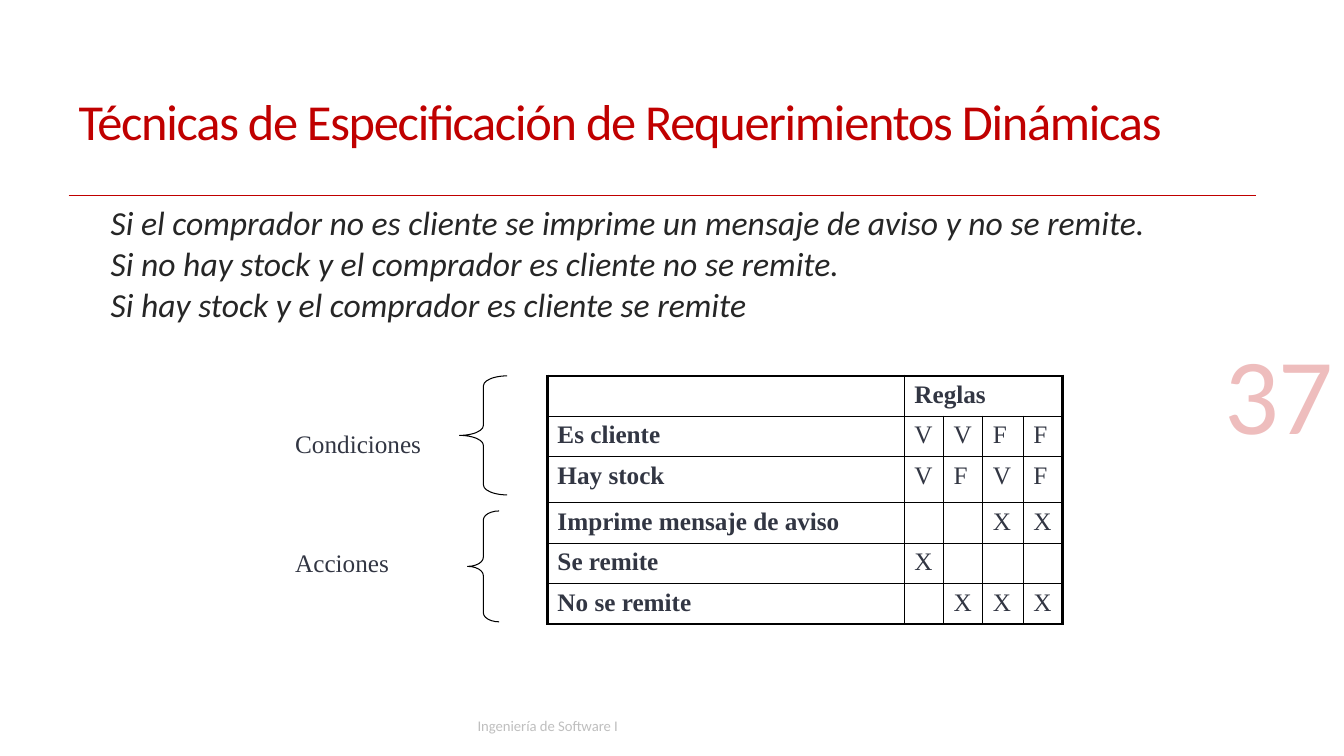
import pptx
import pptx.util
import pptx.dml.color
import pptx.enum.shapes
import pptx.enum.text
import pptx.oxml
import pptx.oxml.ns
from dataclasses import dataclass

Pt = pptx.util.Pt
Align = pptx.enum.text.PP_ALIGN
Anchor = pptx.enum.text.MSO_ANCHOR
RED, SLATE, BLACK = "C00000", "323643", "000000"
SANS, SERIF = "Calibri", "Times New Roman"


@dataclass
class Font:
    name: str
    size: float
    hue: str
    bold: bool = False
    slant: bool = False


@dataclass
class Note:
    box: tuple[float, float, float, float]
    lines: list[str]
    font: Font
    anchor: Anchor = Anchor.TOP
    align: Align = Align.LEFT
    pitch: float = 1.0
    gap: float = 0
    wrap: bool = True


@dataclass
class Brace:
    box: tuple[float, float, float, float]
    curve: float


def color(code: str) -> pptx.dml.color.RGBColor:
    return pptx.dml.color.RGBColor.from_string(code)


def add_run(par, text: str, font: Font):
    run = par.add_run()
    run.text = text
    run.font.name = font.name
    run.font.size = Pt(font.size)
    run.font.bold = font.bold
    run.font.italic = font.slant
    run.font.color.rgb = color(font.hue)
    return run


def add_note(slide, note: Note):
    """Draw a text box and return its last run."""
    frame = slide.shapes.add_textbox(*map(Pt, note.box)).text_frame
    frame.word_wrap = note.wrap
    frame.vertical_anchor = note.anchor
    for i, line in enumerate(note.lines):
        par = frame.add_paragraph() if i else frame.paragraphs[0]
        par.alignment = note.align
        par.line_spacing = note.pitch
        par.space_before = Pt(note.gap)
        run = add_run(par, line, note.font)
    return run


def add_brace(slide, brace: Brace) -> None:
    kind = pptx.enum.shapes.MSO_SHAPE.LEFT_BRACE
    shape = slide.shapes.add_shape(kind, *map(Pt, brace.box))
    shape.shadow.inherit = False
    shape.adjustments[0] = brace.curve
    shape.fill.background()
    shape.line.color.rgb = color(BLACK)
    shape.line.width = Pt(0.75)


def add_rule(slide) -> None:
    kind = pptx.enum.shapes.MSO_CONNECTOR.STRAIGHT
    rule = slide.shapes.add_connector(kind, Pt(49), Pt(139.7), Pt(897), Pt(139.7))
    rule.line.color.rgb = color(RED)
    rule.line.width = Pt(0.75)
    props = rule._element.spPr
    props.append(props.makeelement(pptx.oxml.ns.qn("a:effectLst"), {}))


def set_edges(cell, edges: dict[str, float]) -> None:
    props = cell._tc.get_or_add_tcPr()
    for i, (side, width) in enumerate(edges.items()):
        props.insert(i, pptx.oxml.parse_xml(
            f'<a:ln{side} {pptx.oxml.ns.nsdecls("a")} w="{int(Pt(width))}">'
            f'<a:solidFill><a:srgbClr val="{BLACK}"/></a:solidFill></a:ln{side}>'))


def add_grid(slide) -> None:
    """Draw the decision table with a heavy outer frame."""
    rows = [
        ["", "Reglas", "", "", ""],
        ["Es cliente", "V", "V", "F", "F"],
        ["Hay stock", "V", "F", "V", "F"],
        ["Imprime mensaje de aviso", "", "", "X", "X"],
        ["Se remite", "X", "", "", ""],
        ["No se remite", "", "X", "X", "X"],
    ]
    wide, tall = [255, 28, 28, 29, 28], [28, 23, 33, 28, 22, 29]
    last, end = len(rows) - 1, len(wide) - 1
    table = slide.shapes.add_table(len(rows), len(wide), Pt(391), Pt(268.5),
                                   Pt(sum(wide)), Pt(sum(tall))).table
    table.first_row = table.horz_banding = False
    for col, width in zip(table.columns, wide):
        col.width = Pt(width)
    for row, height in zip(table.rows, tall):
        row.height = Pt(height)
    for r, texts in enumerate(rows):
        for c, text in enumerate(texts):
            cell = table.cell(r, c)
            cell.fill.background()
            thick = {"L": c == 0, "R": c == end or (r == 0 and c > 0),
                     "T": r == 0, "B": r == last}
            set_edges(cell, {side: 2.25 if on else 1 for side, on in thick.items()})
            if text:
                par = cell.text_frame.paragraphs[0]
                par.space_before = Pt(5.8)
                add_run(par, text, Font(SERIF, 18, SLATE, bold=r == 0 or c == 0))
    table.cell(0, 1).merge(table.cell(0, end))


def main() -> None:
    deck = pptx.Presentation()
    deck.slide_width, deck.slide_height = Pt(960), Pt(540)
    slide = deck.slides.add_slide(deck.slide_layouts[6])

    add_rule(slide)
    title = add_note(slide, Note(
        (49, 39.6, 851, 100), ["Técnicas de Especificación de Requerimientos Dinámicas"],
        Font(SANS, 36, RED), anchor=Anchor.MIDDLE, pitch=0.85))
    title._r.get_or_add_rPr().set("spc", "-90")
    add_note(slide, Note((334, 508.3, 408, 28.8), ["Ingeniería de Software I"],
                         Font(SANS, 10.5, "BFBFBF")))
    page = add_note(slide, Note((729.4, 219, 230.4, 110), ["37"], Font(SANS, 77.2, RED),
                                anchor=Anchor.BOTTOM, align=Align.RIGHT))
    tint = page._r.find(".//" + pptx.oxml.ns.qn("a:srgbClr"))
    tint.append(tint.makeelement(pptx.oxml.ns.qn("a:alpha"), {"val": "25000"}))
    add_note(slide, Note((72, 145.4, 839, 90.7), [
        "Si el comprador no es cliente se imprime un mensaje de aviso y no se remite.",
        "Si no hay stock y el comprador es cliente no se remite.",
        "Si hay stock y el comprador es cliente se remite",
    ], Font(SANS, 24, "262626", slant=True), pitch=0.85, gap=4.5))

    add_grid(slide)
    for brace in (Brace((328.3, 268.5, 34, 85), 0.21), Brace((334, 365, 22.5, 79.2), 0.29)):
        add_brace(slide, brace)
    for top, text in ((302.4, "Condiciones"), (387.4, "Acciones")):
        add_note(slide, Note((203.8, top, 113, 28.8), [text], Font(SERIF, 18, SLATE)))
    deck.save("out.pptx")


if __name__ == "__main__":
    main()
